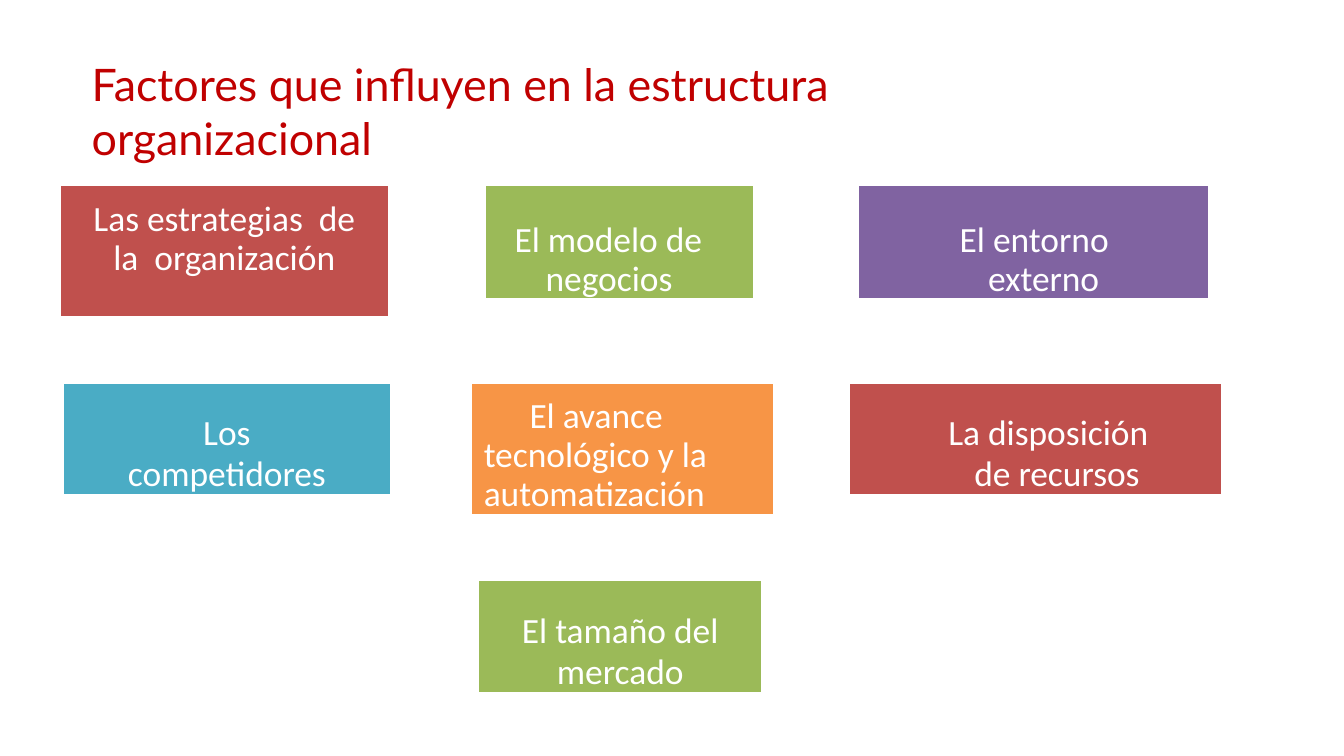
"""Build a slide with the factors that shape an organisation's structure."""
from pptx import Presentation
from pptx.dml.color import RGBColor
from pptx.enum.shapes import MSO_SHAPE
from pptx.enum.text import MSO_ANCHOR, PP_ALIGN
from pptx.util import Pt

COLORS = {
    "title": "C00000",
    "white": "FFFFFF",
    "red": "C0504D",
    "green": "9BBA58",
    "purple": "8063A1",
    "teal": "4AACC5",
    "orange": "F79546",
}
ROW_TOPS = (98.6, 204.5, 310.3)
LEFT, CENTER = PP_ALIGN.LEFT, PP_ALIGN.CENTER

# row, left, width, height, color, top inset, line spacing, alignment,
# paragraphs as (text, left margin, first-line indent, right margin)
FACTORS = (
    (0, 31.7, 177, 72, "red", 8.2, 20.9, CENTER,
     [("Las estrategias  de la  organización", 10.8, 0, 10.8)]),
    (0, 259.2, 145.4, 62, "green", 19.7, 20.9, LEFT,
     [("El modelo de negocios", 33.1, -16.6, 0)]),
    (0, 459.4, 188.6, 62, "purple", 19.7, 20.9, CENTER,
     [("El entorno externo", 37.4, -10.1, 26.6)]),
    (1, 33.1, 177, 61.2, "teal", 16.3, 21.9, CENTER,
     [("Los", 0, 0, 0), ("competidores", 0, 0, 0)]),
    (1, 252, 163.4, 72, "orange", 8.2, 20.9, LEFT,
     [("El avance tecnológico y la automatización", 7.2, 24.5, 0)]),
    (1, 454.3, 200.9, 61.2, "red", 16.3, 21.9, CENTER,
     [("La disposición", 13.7, 0, 0), ("de recursos", 23, 0, 0)]),
    (2, 255.6, 153.4, 61.2, "green", 16.3, 21.9, CENTER,
     [("El tamaño del", 0, 0, 0), ("mercado", 0, 0, 0)]),
)


def rgb(name):
    return RGBColor.from_string(COLORS[name])


def prepare_frame(frame, top_inset):
    frame.word_wrap = True
    frame.vertical_anchor = MSO_ANCHOR.TOP
    frame.margin_left = frame.margin_right = frame.margin_bottom = 0
    frame.margin_top = Pt(top_inset)


def style_font(paragraph, name, size, color):
    font = paragraph.font
    font.name, font.size = name, Pt(size)
    font.color.rgb = rgb(color)


def set_indents(paragraph, left, first_line, right):
    properties = paragraph._p.get_or_add_pPr()
    for key, length in (("marL", left), ("indent", first_line), ("marR", right)):
        properties.set(key, str(int(Pt(length))))


def add_title(slide, text):
    title = slide.shapes.add_textbox(Pt(48.2), Pt(29.5), Pt(525), Pt(58))
    prepare_frame(title.text_frame, 1)
    heading = title.text_frame.paragraphs[0]
    heading.text = text
    set_indents(heading, 0.9, 0, 0)
    style_font(heading, "Lato", 24, "title")


def add_factor(slide, row, left, width, height, color, inset, spacing, align, lines):
    factor = slide.shapes.add_shape(
        MSO_SHAPE.RECTANGLE, Pt(left), Pt(ROW_TOPS[row]), Pt(width), Pt(height))
    factor.shadow.inherit = False
    factor.fill.solid()
    factor.fill.fore_color.rgb = rgb(color)
    factor.line.color.rgb = rgb("white")
    factor.line.width = Pt(2.04)
    frame = factor.text_frame
    prepare_frame(frame, inset)
    frame.text = "\n".join(text for text, *_ in lines)
    for paragraph, (_, *indents) in zip(frame.paragraphs, lines):
        paragraph.alignment = align
        paragraph.line_spacing = Pt(spacing)
        set_indents(paragraph, *indents)
        style_font(paragraph, "Calibri", 19, "white")


def main():
    deck = Presentation()
    deck.slide_width, deck.slide_height = Pt(720), Pt(405)
    slide = deck.slides.add_slide(deck.slide_layouts[6])
    add_title(slide, "Factores que influyen en la estructura organizacional")
    for factor in FACTORS:
        add_factor(slide, *factor)
    deck.save("out.pptx")


main()
